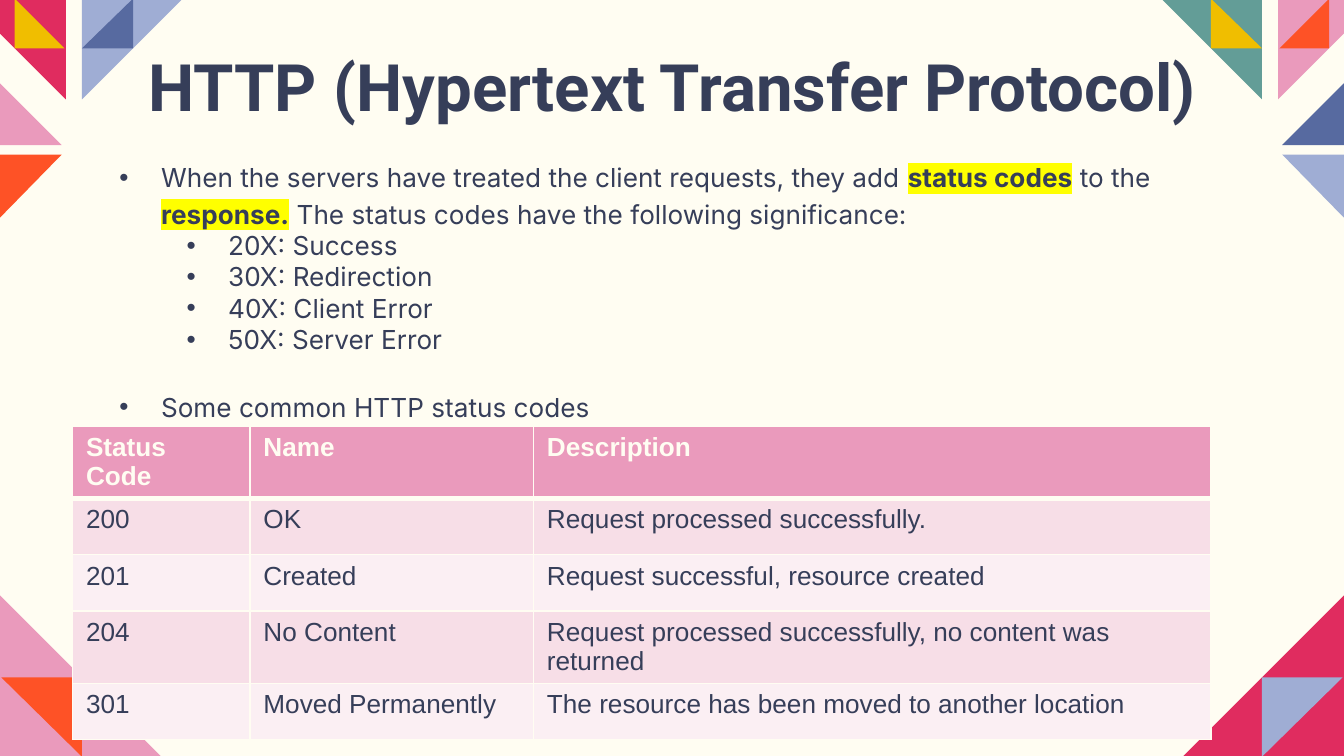
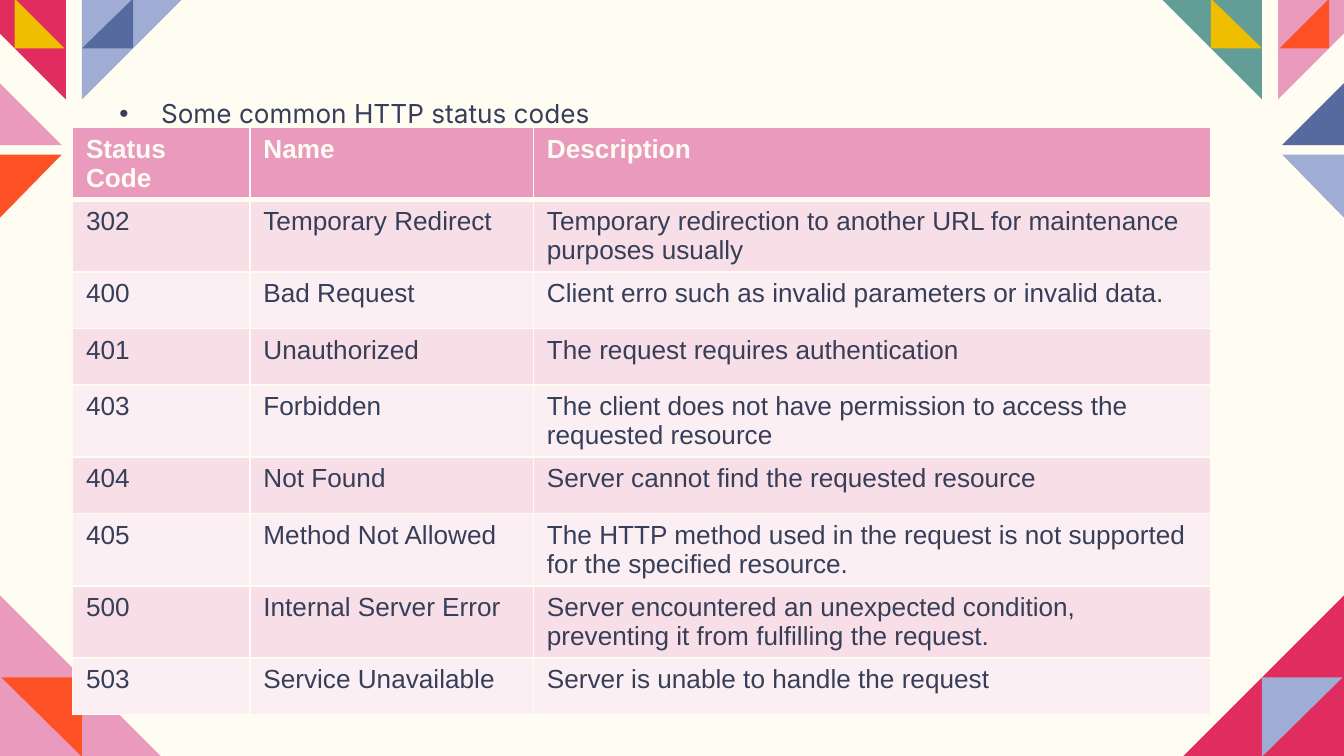
from lxml import etree
from pptx import Presentation
from pptx.dml.color import RGBColor as RGB
from pptx.enum.text import MSO_ANCHOR as Anchor, MSO_AUTO_SIZE as Auto, PP_ALIGN as Align
from pptx.oxml.ns import qn
from pptx.util import Inches, Pt

# Palette
CREAM = RGB(0xFF, 0xFD, 0xF2)
NAVY = RGB(0x36, 0x3E, 0x59)
RED = RGB(0xE0, 0x2C, 0x5F)
PINK = RGB(0xEA, 0x9A, 0xBC)
ROSE = RGB(0xF7, 0xDE, 0xE7)
BLUSH = RGB(0xFB, 0xEF, 0xF3)
FLAME = RGB(0xFE, 0x52, 0x26)
GOLD = RGB(0xF0, 0xBE, 0x00)
TEAL = RGB(0x63, 0x9D, 0x97)
SKY = RGB(0x9F, 0xAD, 0xD4)
BLUE = RGB(0x57, 0x6A, 0xA0)
YELLOW = RGB(0xFF, 0xFF, 0x00)

WIDTH = 10
HEADS = ["Status Code", "Name", "Description"]
COLS = [1.32, 2.11, 5.04]
ROW = 0.42

# Corner triangles: left-hand points, left colour, colour of the mirrored twin
TILES = [
    ([(0, 4.43), (1.21, 5.64), (0, 5.64)], PINK, RED),
    ([(0.01, 5.04), (0.61, 5.04), (0.61, 5.63)], FLAME, SKY),
    ([(0, 1.15), (0, 1.62), (0.46, 1.15)], FLAME, SKY),
    ([(0, 0.62), (0, 1.08), (0.46, 1.08)], PINK, BLUE),
    ([(0.61, -0.02), (0.61, 0.74), (1.37, -0.02)], SKY, TEAL),
    ([(-0.27, -0.02), (0.49, 0.74), (0.49, -0.02)], RED, PINK),
    ([(0.99, -0.01), (0.61, 0.36), (0.99, 0.36)], BLUE, GOLD),
    ([(0.11, -0.01), (0.11, 0.36), (0.48, 0.36)], GOLD, FLAME),
]


class Deck:
    def __init__(self):
        self.prs = Presentation()
        self.prs.slide_width = Inches(WIDTH)
        self.prs.slide_height = Inches(WIDTH * 9 / 16)
        fill = self.prs.slide_master.background.fill
        fill.solid()
        fill.fore_color.rgb = CREAM
        self.slide = None

    def page(self, title=None):
        layout = self.prs.slide_layouts[5 if title else 6]
        self.slide = self.prs.slides.add_slide(layout)
        for pts, left, right in TILES:
            self.tile(pts, left)
            self.tile([(WIDTH - x, y) for x, y in pts], right)
        if title:
            self.title(title)

    def tile(self, pts, color):
        pts = [(Inches(x), Inches(y)) for x, y in pts]
        pen = self.slide.shapes.build_freeform(*pts[0])
        pen.add_line_segments(pts[1:], close=True)
        shape = pen.convert_to_shape()
        shape.shadow.inherit = False
        shape.fill.solid()
        shape.fill.fore_color.rgb = color
        shape.line.fill.background()

    def font(self, run, name, size, color=NAVY, bold=False):
        font = run.font
        font.name, font.size, font.bold = name, Pt(size), bold
        font.color.rgb = color

    def frame(self, shape, top, height):
        shape.left, shape.top = Inches(0.79), Inches(top)
        shape.width, shape.height = Inches(8.43), Inches(height)
        tf = shape.text_frame
        tf.word_wrap, tf.auto_size = True, Auto.NONE
        tf.vertical_anchor = Anchor.TOP
        tf.margin_left = tf.margin_right = Inches(0.1)
        tf.margin_top = tf.margin_bottom = Inches(0.1)
        return tf

    def title(self, text):
        shape = self.slide.shapes.title
        tf = self.frame(shape, 0.24, 0.63)
        tf.text = text
        para = tf.paragraphs[0]
        para.alignment = Align.CENTER
        self.font(para.runs[0], "Roboto", 35, bold=True)

    def mark(self, run):
        light = etree.Element(qn("a:highlight"))
        etree.SubElement(light, qn("a:srgbClr"), val=str(YELLOW))
        run.font._element.find(qn("a:solidFill")).addnext(light)

    def bullet(self, para, level):
        para.level = level
        props = para._p.get_or_add_pPr()
        props.set("marL", str(Inches(0.31 + level / 2)))
        props.set("indent", str(-Inches(0.31)))
        tint = etree.SubElement(props, qn("a:buClr"))
        etree.SubElement(tint, qn("a:srgbClr"), val=str(NAVY))
        etree.SubElement(props, qn("a:buFont"), typeface="Arial")
        etree.SubElement(props, qn("a:buChar"), char="•")

    def body(self, top, items):
        """Each item is level, space before, and its (text, marked) runs."""
        box = self.slide.shapes.add_textbox(0, 0, 0, 0)
        tf = self.frame(box, top, 2.1)
        for i, (level, gap, parts) in enumerate(items):
            para = tf.add_paragraph() if i else tf.paragraphs[0]
            para.line_spacing = 1.0 if level else 1.15
            para.space_before = Pt(gap)
            self.bullet(para, level)
            for text, marked in parts:
                run = para.add_run()
                run.text = text
                self.font(run, "Inter", 14, bold=marked)
                if marked:
                    self.mark(run)

    def edge(self, cell, row):
        props = cell._tc.get_or_add_tcPr()
        wide = {"lnB": row == 0, "lnT": row == 1}
        for i, side in enumerate(("lnL", "lnR", "lnT", "lnB")):
            line = etree.Element(qn("a:" + side), w=str(Pt(3 if wide.get(side) else 1)))
            fill = etree.SubElement(line, qn("a:solidFill"))
            etree.SubElement(fill, qn("a:srgbClr"), val=str(CREAM))
            props.insert(i, line)

    def table(self, top, height, rows):
        rows = [HEADS] + rows
        frame = self.slide.shapes.add_table(
            len(rows), len(COLS), Inches(0.54), Inches(top), Inches(sum(COLS)), Inches(height))
        grid = frame.table
        for col, width in zip(grid.columns, COLS):
            col.width = Inches(width)
        for r, texts in enumerate(rows):
            grid.rows[r].height = Inches(ROW)
            for c, text in enumerate(texts):
                cell = grid.cell(r, c)
                cell.text = text
                head = r == 0
                run = cell.text_frame.paragraphs[0].runs[0]
                self.font(run, "Arial", 14, CREAM if head else NAVY, head)
                cell.fill.solid()
                cell.fill.fore_color.rgb = PINK if head else ROSE if r % 2 else BLUSH
                self.edge(cell, r)
        frame.height = Inches(height)


def main():
    deck = Deck()
    common = [("Some common HTTP status codes", False)]

    # Meaning of the codes
    deck.page("HTTP (Hypertext Transfer Protocol)")
    intro = [
        ("When the servers have treated the client requests, they add ", False),
        ("status codes", True),
        (" to the ", False),
        ("response.", True),
        (" The status codes have the following significance:", False),
    ]
    kinds = ["20X: Success", "30X: Redirection", "40X: Client Error", "50X: Server Error"]
    subs = [(1, 0, [(kind, False)]) for kind in kinds]
    deck.body(1.07, [(0, 0, intro), *subs, (0, 17, common)])
    deck.table(3.17, 2.38, [
        ["200", "OK", "Request processed successfully."],
        ["201", "Created", "Request successful, resource created"],
        ["204", "No Content", "Request processed successfully, no content was returned"],
        ["301", "Moved Permanently", "The resource has been moved to another location"],
    ])

    # More codes
    deck.page()
    deck.body(0.59, [(0, 0, common)])
    deck.table(0.95, 4.05, [
        ["302", "Temporary Redirect",
         "Temporary redirection to another URL for maintenance purposes usually"],
        ["400", "Bad Request", "Client erro such as invalid parameters or invalid data."],
        ["401", "Unauthorized", "The request requires authentication"],
        ["403", "Forbidden",
         "The client does not have permission to access the requested resource"],
        ["404", "Not Found", "Server cannot find the requested resource"],
        ["405", "Method Not Allowed",
         "The HTTP method used in the request is not supported for the specified resource."],
        ["500", "Internal Server Error",
         "Server encountered an unexpected condition, preventing it from fulfilling the request."],
        ["503", "Service Unavailable", "Server is unable to handle the request"],
    ])
    deck.prs.save("out.pptx")


if __name__ == "__main__":
    main()
